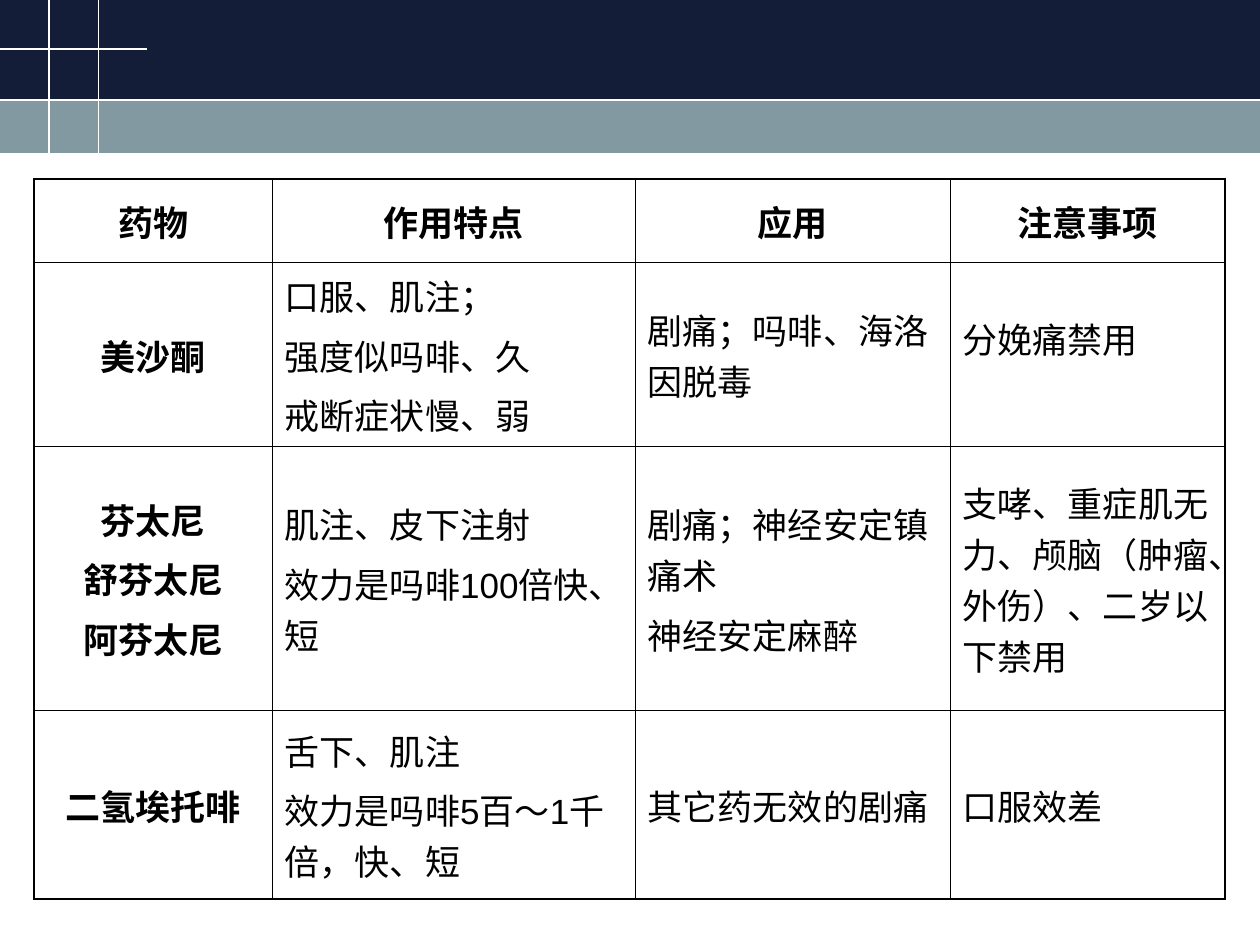
from lxml import etree
from pptx import Presentation
from pptx.dml.color import RGBColor
from pptx.enum import shapes, text
from pptx.oxml import ns
from pptx.util import Pt

HUES = {"navy": "131D37", "slate": "8399A1", "white": "FFFFFF", "ink": "000000"}
WIDE, HIGH = 720, 540
COLS = [136, 207.4, 180, 157]
ROWS = [48, 105, 151, 107.6]
DRUGS = [
    [["药物"], ["作用特点"], ["应用"], ["注意事项"]],
    [["美沙酮"], ["口服、肌注；", "强度似吗啡、久", "戒断症状慢、弱"],
     ["剧痛；吗啡、海洛因脱毒"], ["分娩痛禁用"]],
    [["芬太尼", "舒芬太尼", "阿芬太尼"],
     ["肌注、皮下注射", "效力是吗啡100倍快、短"],
     ["剧痛；神经安定镇痛术", "神经安定麻醉"],
     ["支哮、重症肌无力、颅脑（肿瘤、外伤）、二岁以下禁用"]],
    [["二氢埃托啡"], ["舌下、肌注", "效力是吗啡5百～1千倍，快、短"],
     ["其它药无效的剧痛"], ["口服效差"]],
]


class Deck:
    font, size, gap = "Arial", 20, 5
    thin, thick = 0.45, 1.08

    def __init__(self):
        self.prs = Presentation()
        self.prs.slide_width, self.prs.slide_height = Pt(WIDE), Pt(HIGH)
        self.slide = self.prs.slides.add_slide(self.prs.slide_layouts[6])

    def hue(self, name):
        return RGBColor.from_string(HUES[name])

    def band(self, top, height, name):
        box = self.slide.shapes.add_shape(
            shapes.MSO_SHAPE.RECTANGLE, 0, Pt(top), Pt(WIDE), Pt(height))
        box.shadow.inherit = False
        box.fill.solid()
        box.fill.fore_color.rgb = self.hue(name)
        box.line.fill.background()

    def line(self, *ends):
        rule = self.slide.shapes.add_connector(
            shapes.MSO_CONNECTOR.STRAIGHT, *[Pt(e) for e in ends])
        rule.line.color.rgb = self.hue("white")
        rule.line.width = Pt(1)
        etree.SubElement(rule._element.spPr, ns.qn("a:effectLst"))

    def edge(self, cell, side, width):
        props = cell._tc.get_or_add_tcPr()
        ln = etree.SubElement(props, ns.qn("a:ln" + side), w=str(Pt(width)))
        fill = etree.SubElement(ln, ns.qn("a:solidFill"))
        etree.SubElement(fill, ns.qn("a:srgbClr"), val=HUES["ink"])

    def label(self, cell, lines, head):
        cell.vertical_anchor = text.MSO_ANCHOR.MIDDLE
        cell.text = "\n".join(lines)
        for i, par in enumerate(cell.text_frame.paragraphs):
            par.alignment = text.PP_ALIGN.CENTER if head else text.PP_ALIGN.LEFT
            par.space_before = Pt(self.gap if i else 0)
            par.font.name, par.font.size = self.font, Pt(self.size)
            par.font.bold = head
            par.font.color.rgb = self.hue("ink")

    def table(self, left, top, cols, rows, data):
        grid = self.slide.shapes.add_table(
            len(rows), len(cols), Pt(left), Pt(top),
            Pt(sum(cols)), Pt(sum(rows))).table
        grid.first_row = grid.horz_banding = False
        for col, width in zip(grid.columns, cols):
            col.width = Pt(width)
        for row, height in zip(grid.rows, rows):
            row.height = Pt(height)
        for r, line in enumerate(data):
            for c, lines in enumerate(line):
                cell = grid.cell(r, c)
                outer = {"L": c == 0, "R": c == len(cols) - 1,
                         "T": r == 0, "B": r == len(rows) - 1}
                for side, out in outer.items():
                    self.edge(cell, side, self.thick if out else self.thin)
                cell.fill.background()
                self.label(cell, lines, r == 0 or c == 0)
        return grid


def main():
    deck = Deck()

    # Header bands and crossing rules
    deck.band(57, 30.4, "slate")
    deck.band(0, 57, "navy")
    deck.line(56.3, 0, 56.3, 87.4)
    deck.line(0, 28, 84.3, 28)
    deck.line(28.2, 0, 28.2, 87.4)
    deck.line(0, 57.3, WIDE, 57.3)

    # Drug table; the one-line caution sits above the middle
    grid = deck.table(19.6, 102.2, COLS, ROWS, DRUGS)
    grid.cell(1, 3).margin_bottom = Pt(22)

    deck.prs.save("out.pptx")


if __name__ == "__main__":
    main()
